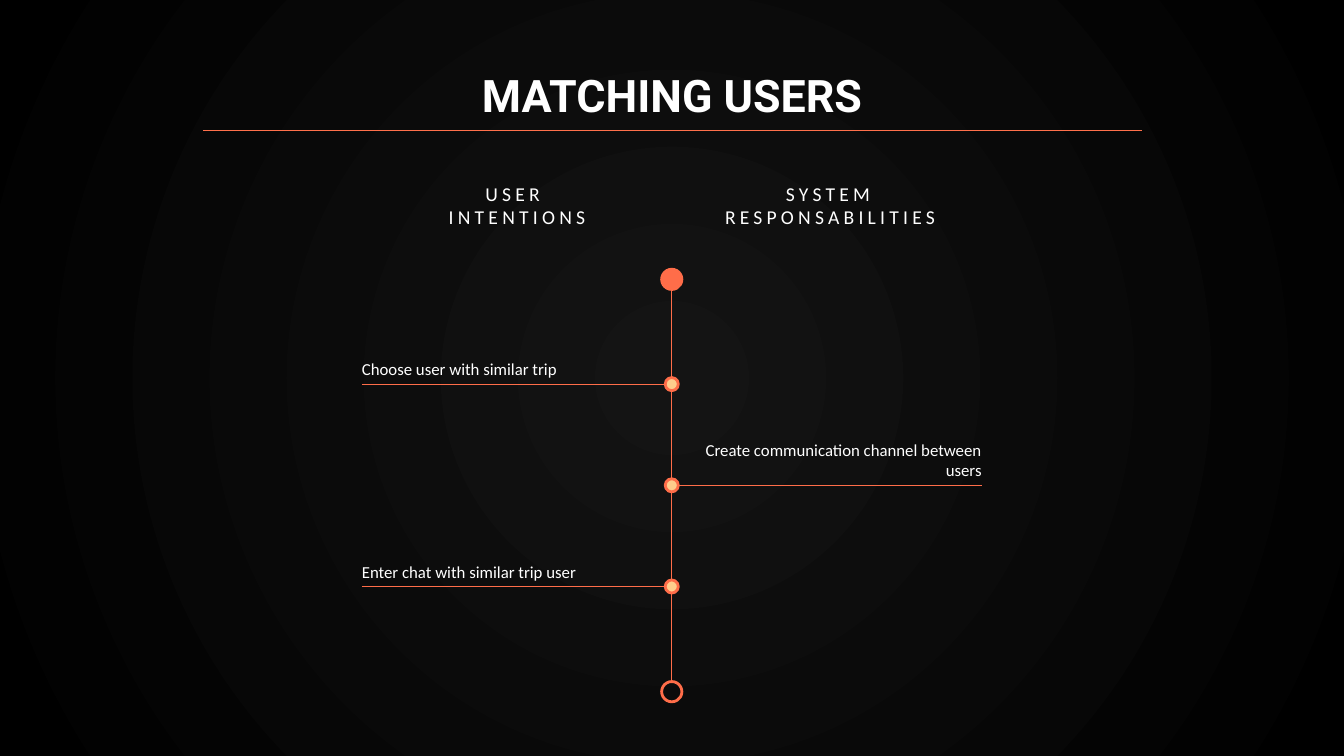
import dataclasses

import pptx
import pptx.dml.color
import pptx.enum.shapes
import pptx.enum.text
import pptx.oxml.ns
import pptx.util
from lxml import etree

Cm = pptx.util.Cm
qn = pptx.oxml.ns.qn
ALIGN = pptx.enum.text.PP_ALIGN

HUES = {"glow": "141414", "edge": "000000", "text": "FFFFFF",
        "rule": "FF704B", "line": "FF6D49", "dot": "FECD8C"}

# Layout, in centimetres
MID = 16.93
TOP, END = 7.04, 17.43
FIRST, STEP = 9.68, 2.55
DOT, CAP = 0.33, 0.51
REACH, WIDE = 7.64, 7.65
INSET, GAP = 0.25, 0.17


@dataclasses.dataclass
class Event:
    text: str
    right: bool = False
    high: float = 0.76


@dataclasses.dataclass
class Head:
    lines: list[str]
    left: float
    wide: float


EVENTS = [
    Event("Choose user with similar trip"),
    Event("Create communication channel between users", right=True, high=1.27),
    Event("Enter chat with similar trip user"),
]
HEADS = [
    Head(["USER ", "INTENTIONS"], 9.12, 7.82),
    Head(["SYSTEM RESPONSABILITIES"], MID, 7.98),
]


def tint(name: str) -> pptx.dml.color.RGBColor:
    return pptx.dml.color.RGBColor.from_string(HUES[name])


def place(shape, left: float, top: float, wide: float, high: float) -> None:
    shape.left, shape.top = Cm(left), Cm(top)
    shape.width, shape.height = Cm(wide), Cm(high)


def write(frame, lines: list[str], *, size: int = 12, font: str = "Calibri",
          bold: bool = False, align=ALIGN.LEFT, space: int = 0) -> None:
    frame.word_wrap = True
    for i, text in enumerate(lines):
        para = frame.paragraphs[0] if i == 0 else frame.add_paragraph()
        para.alignment = align
        run = para.add_run()
        run.text = text
        run.font.size = pptx.util.Pt(size)
        run.font.name = font
        run.font.bold = bold
        run.font.color.rgb = tint("text")
        if space:
            run.font._element.set("spc", str(space * 100))


def label(slide, lines: list[str], left: float, top: float,
          wide: float, high: float, **style) -> None:
    box = slide.shapes.add_textbox(Cm(left), Cm(top), Cm(wide), Cm(high))
    write(box.text_frame, lines, **style)
    box.text_frame.auto_size = pptx.enum.text.MSO_AUTO_SIZE.SHAPE_TO_FIT_TEXT


def rule(slide, x1: float, y1: float, x2: float, y2: float,
         hue: str = "line") -> None:
    line = slide.shapes.add_connector(
        pptx.enum.shapes.MSO_CONNECTOR.STRAIGHT, Cm(x1), Cm(y1), Cm(x2), Cm(y2))
    line.line.color.rgb = tint(hue)
    line.line.width = pptx.util.Pt(0.75)
    etree.SubElement(line._element.spPr, qn("a:effectLst"))


def disc(slide, y: float, size: float, hue: str | None = None) -> None:
    shape = slide.shapes.add_shape(
        pptx.enum.shapes.MSO_SHAPE.OVAL,
        Cm(MID - size / 2), Cm(y - size / 2), Cm(size), Cm(size))
    shape.shadow.inherit = False
    if hue:
        shape.fill.solid()
        shape.fill.fore_color.rgb = tint(hue)
    else:
        shape.fill.background()
    shape.line.color.rgb = tint("line")
    shape.line.width = pptx.util.Pt(2)


def backdrop(slide) -> None:
    fill = slide.background.fill
    fill.gradient()
    for stop, hue in zip(fill.gradient_stops, ("glow", "edge")):
        stop.color.rgb = tint(hue)
    # Turn the linear blend into a circular one
    grad = slide.element.find(".//" + qn("a:gradFill"))
    ring = etree.Element(qn("a:path"), {"path": "circle"})
    etree.SubElement(ring, qn("a:fillToRect"),
                     {side: "50000" for side in "ltrb"})
    grad.replace(grad.find(qn("a:lin")), ring)


def main() -> None:
    deck = pptx.Presentation()
    deck.slide_width, deck.slide_height = Cm(33.87), Cm(19.05)
    slide = deck.slides.add_slide(deck.slide_layouts[5])
    backdrop(slide)

    # Title and its rule
    title = slide.shapes.title
    place(title, 4.42, 1.63, 25.04, 1.68)
    frame = title.text_frame
    write(frame, ["MATCHING USERS"], size=32, font="Roboto", bold=True,
          align=ALIGN.CENTER)
    frame.auto_size = pptx.enum.text.MSO_AUTO_SIZE.NONE
    frame.vertical_anchor = pptx.enum.text.MSO_ANCHOR.BOTTOM
    frame.margin_left = frame.margin_right = Cm(INSET)
    frame.margin_top = frame.margin_bottom = Cm(INSET)
    rule(slide, 5.11, 3.3, 28.78, 3.3, "rule")

    # Column heads
    for head in HEADS:
        label(slide, head.lines, head.left, 4.45, head.wide, 1.45,
              size=14, align=ALIGN.CENTER, space=3)

    # Spine with its end caps
    rule(slide, MID, TOP + CAP / 2, MID, END - CAP / 2)
    disc(slide, TOP, CAP, "line")
    disc(slide, END, CAP)

    # Events along the spine
    for i, event in enumerate(EVENTS):
        y = FIRST + i * STEP
        side = 1 if event.right else -1
        near = MID + side * GAP
        far = near + side * REACH
        left = far + INSET - WIDE if event.right else far - INSET
        disc(slide, y, DOT, "dot")
        rule(slide, far, y, near, y)
        label(slide, [event.text], left, y - event.high, WIDE, event.high,
              align=ALIGN.RIGHT if event.right else ALIGN.LEFT)

    deck.save("out.pptx")


if __name__ == "__main__":
    main()
